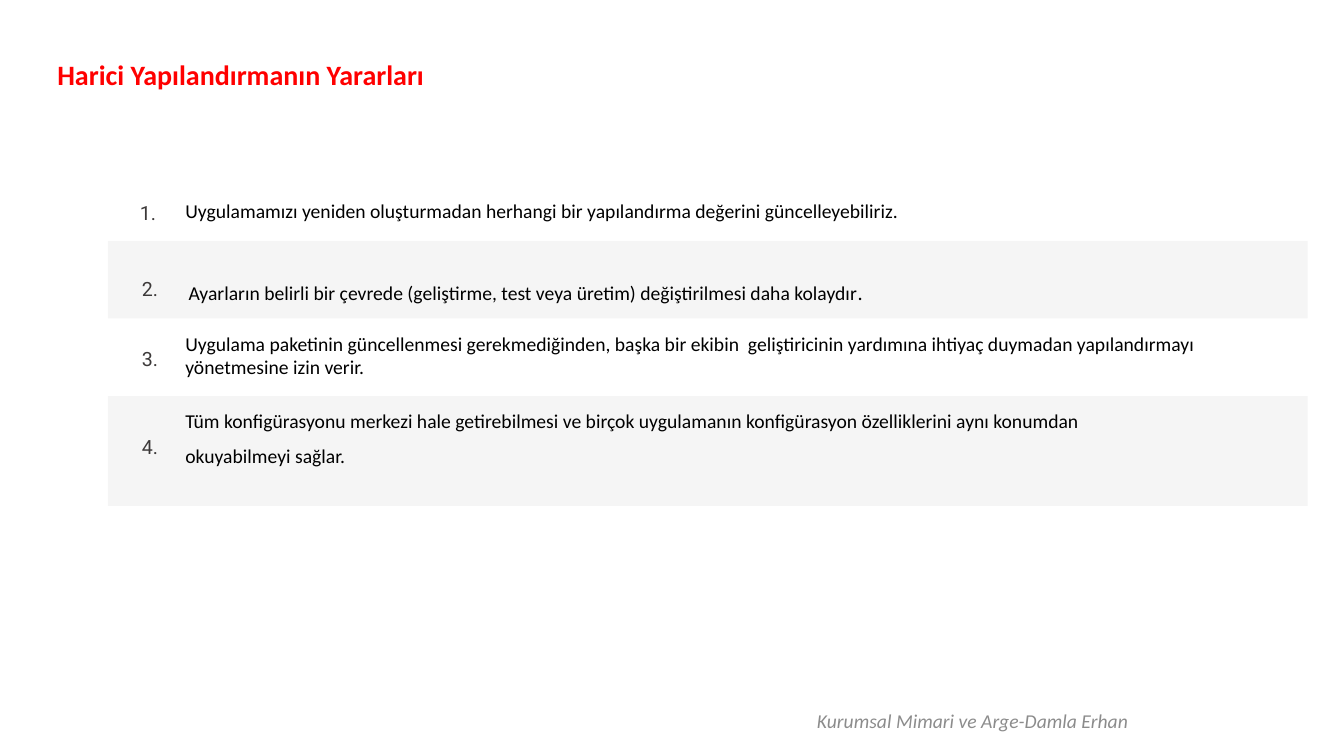
from lxml import etree
from pptx import Presentation
from pptx.dml.color import RGBColor
from pptx.enum import shapes, text
from pptx.oxml.ns import qn
from pptx.util import Inches, Pt

BLACK = RGBColor(0x00, 0x00, 0x00)
WHITE = RGBColor(0xFF, 0xFF, 0xFF)
RED = RGBColor(0xFF, 0x00, 0x00)
GRAY = RGBColor(0x8C, 0x8C, 0x8C)
CHARCOAL = RGBColor(0x3C, 0x39, 0x39)

BAND_LEFT = 1.07
BAND_OPACITY = 4
TEXT_LEFT = 1.74
NUMBER_SPACING = Pt(28)


def write_text(shape, *paragraphs, font="Calibri", size=14, color=BLACK, bold=False,
               italic=False, align=text.PP_ALIGN.LEFT, anchor=text.MSO_ANCHOR.TOP,
               spacing=None, insets=(0.1, 0.05, 0.1, 0.05)):
    """Fill a shape; each paragraph is a string or a list of (text, font) runs."""
    frame = shape.text_frame
    frame.word_wrap = True
    frame.vertical_anchor = anchor
    frame.margin_left, frame.margin_top, frame.margin_right, frame.margin_bottom = map(Inches, insets)
    for index, content in enumerate(paragraphs):
        paragraph = frame.add_paragraph() if index else frame.paragraphs[0]
        paragraph.alignment = align
        paragraph.line_spacing = spacing
        runs = [(content, font)] if isinstance(content, str) else content
        for run_text, run_font in runs:
            run = paragraph.add_run()
            run.text = run_text
            run.font.name = run_font
            run.font.size = Pt(size)
            run.font.color.rgb = color
            run.font.bold = bold
            run.font.italic = italic


def add_text(slide, left, top, width, height, *paragraphs, **text_format):
    box = slide.shapes.add_textbox(*map(Inches, (left, top, width, height)))
    write_text(box, *paragraphs, **text_format)


def add_band(slide, top, width, height, color):
    """Add a nearly transparent background band for one row."""
    band = slide.shapes.add_shape(shapes.MSO_SHAPE.RECTANGLE,
                                  *map(Inches, (BAND_LEFT, top, width, height)))
    band.shadow.inherit = False
    band.line.fill.background()
    band.fill.solid()
    band.fill.fore_color.rgb = color
    fill_color = band.fill._xPr.find(qn("a:solidFill"))[0]
    etree.SubElement(fill_color, qn("a:alpha")).set("val", str(BAND_OPACITY * 1000))
    return band


def add_number(slide, number, left, top):
    add_text(slide, left, top, 0.3, 0.39, f"{number}.", font="Roboto", color=CHARCOAL,
             spacing=NUMBER_SPACING, insets=(0.1, 0.05, 0, 0.05))


def main():
    presentation = Presentation()
    presentation.slide_width = Inches(13.33)
    presentation.slide_height = Inches(7.5)
    slide = presentation.slides.add_slide(presentation.slide_layouts[6])

    add_text(slide, 0.47, 0.01, 12.49, 1.22, "Harici Yapılandırmanın Yararları",
             size=20, color=RED, bold=True, anchor=text.MSO_ANCHOR.MIDDLE,
             insets=(0.1, 0.29, 0.1, 0.05))
    add_text(slide, 3.73, 7, 7.56, 0.29, "Kurumsal Mimari ve Arge-Damla Erhan",
             color=GRAY, italic=True, align=text.PP_ALIGN.RIGHT,
             anchor=text.MSO_ANCHOR.MIDDLE, insets=(0.1, 0, 0.1, 0))

    second_band = add_band(slide, 2.39, 11.9, 0.77, BLACK)
    add_band(slide, 3.08, 11.53, 1.09, WHITE)
    add_band(slide, 3.93, 11.9, 1.09, BLACK)

    number_places = [(1.29, 1.79), (1.31, 2.54), (1.31, 3.24), (1.31, 4.11)]
    for number, (left, top) in enumerate(number_places, start=1):
        add_number(slide, number, left, top)

    add_text(slide, TEXT_LEFT, 1.77, 8.32, 0.42,
             "Uygulamamızı yeniden oluşturmadan herhangi bir yapılandırma değerini güncelleyebiliriz.",
             spacing=NUMBER_SPACING)
    write_text(second_band,
               [("Ayarların belirli bir çevrede (geliştirme, test veya üretim) "
                 "değiştirilmesi daha kolaydır", "Calibri"), (".", "Lato")],
               spacing=2.5, insets=(0.8, 0.05, 0.1, 0.05))
    add_text(slide, TEXT_LEFT, 3.24, 10.73, 0.63,
             "Uygulama paketinin güncellenmesi gerekmediğinden, başka bir ekibin  geliştiricinin "
             "yardımına ihtiyaç duymadan yapılandırmayı yönetmesine izin verir.")
    add_text(slide, TEXT_LEFT, 3.89, 11.2, 1.09,
             "Tüm konfigürasyonu merkezi hale getirebilmesi ve birçok uygulamanın "
             "konfigürasyon özelliklerini aynı konumdan",
             "okuyabilmeyi sağlar.", spacing=1.5)

    presentation.save("out.pptx")


if __name__ == "__main__":
    main()
